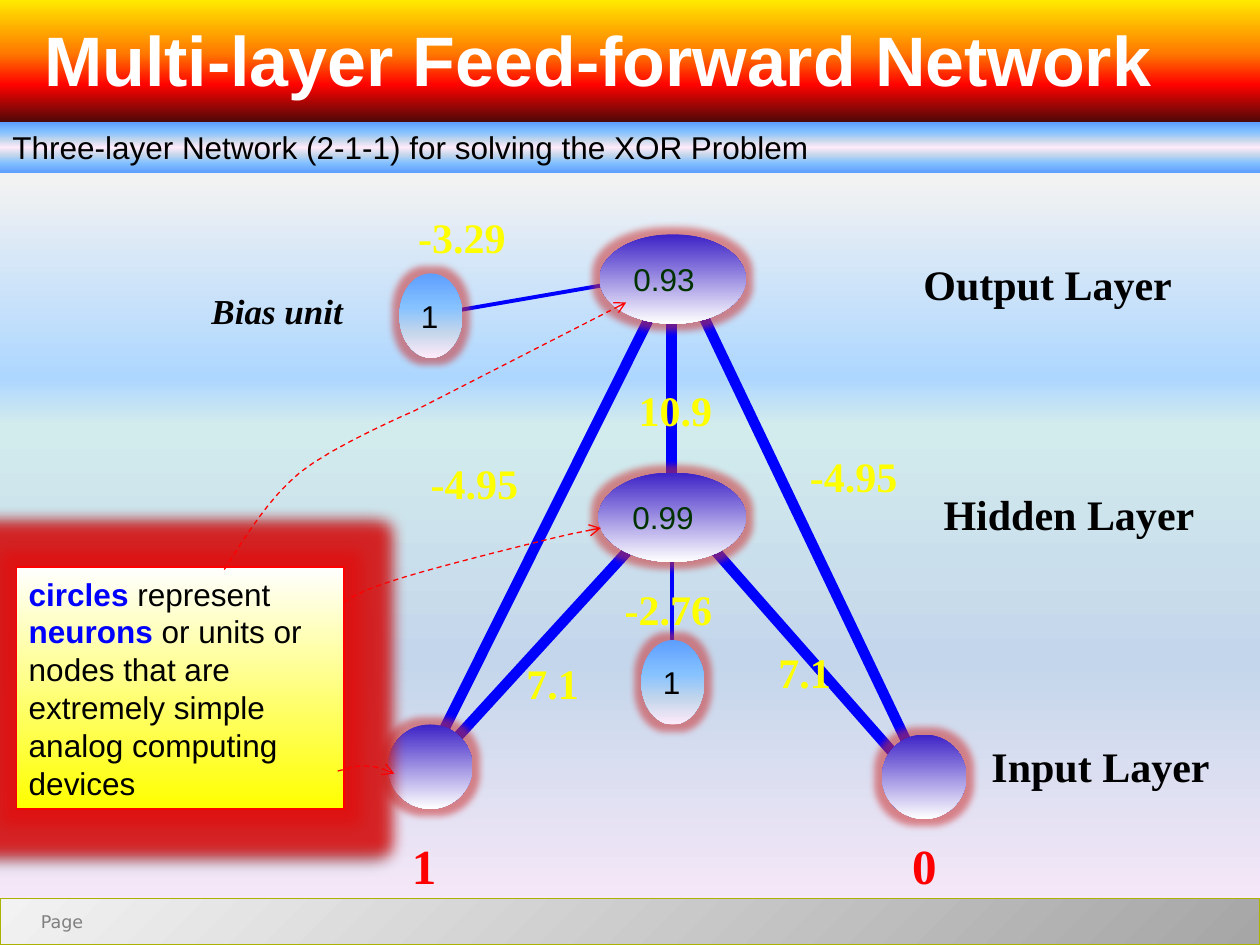
import pptx
import pptx.dml.color
import pptx.enum.dml
import pptx.enum.shapes
import pptx.enum.text
import pptx.oxml
import pptx.oxml.ns
import pptx.util
from pptx.util import Inches

RGBColor = pptx.dml.color.RGBColor
Shapes = pptx.enum.shapes.MSO_SHAPE
Anchor = pptx.enum.text.MSO_ANCHOR
Align = pptx.enum.text.PP_ALIGN
qn = pptx.oxml.ns.qn

BLACK = RGBColor(0x00, 0x00, 0x00)
WHITE = RGBColor(0xFF, 0xFF, 0xFF)
RED = RGBColor(0xFF, 0x00, 0x00)
BLUE = RGBColor(0x00, 0x00, 0xFF)
YELLOW = RGBColor(0xFF, 0xFF, 0x00)
GREEN = RGBColor(0x00, 0x33, 0x00)
GRAY = RGBColor(0x80, 0x80, 0x80)
OLIVE = RGBColor(0xAB, 0xB2, 0x02)
INDIGO = RGBColor(0x3D, 0x22, 0xC6)
SKY = RGBColor(0x5E, 0x9E, 0xFF)
LIGHT_SKY = RGBColor(0x85, 0xC2, 0xFF)
MIST = RGBColor(0xC4, 0xD6, 0xEB)
PINK = RGBColor(0xFF, 0xEB, 0xFA)
SILVER = RGBColor(0xF2, 0xF2, 0xF2)
STEEL = RGBColor(0xA6, 0xA6, 0xA6)
NEURON_GLOW = RGBColor(0xCC, 0x33, 0x33)
NOTE_GLOW = RGBColor(0xE0, 0x10, 0x10)

BACKDROP = [(0, RGBColor(0xAD, 0xCE, 0xFF)), (19, SILVER), (40, RGBColor(0xAE, 0xD7, 0xFF)),
            (45, RGBColor(0xD2, 0xEB, 0xED)), (70, MIST), (100, PINK)]
FIRE = [(0, RGBColor(0xFF, 0xF2, 0x00)), (45, RGBColor(0xFF, 0x7A, 0x00)),
        (70, RGBColor(0xFF, 0x03, 0x00)), (100, RGBColor(0x4D, 0x08, 0x08))]
BAND = [(0, SKY), (20, LIGHT_SKY), (35, MIST), (50, PINK), (65, MIST), (80, LIGHT_SKY), (100, SKY)]
NEURON = [(0, INDIGO), (100, WHITE)]
BIAS = [(0, SKY), (40, LIGHT_SKY), (70, MIST), (100, PINK)]

SERIF = "Times New Roman"
SANS = "Arial"


def add_xml(parent, markup):
    opening, rest = markup.split(" ", 1)
    parent.append(pptx.oxml.parse_xml(f"{opening} {pptx.oxml.ns.nsdecls('a')} {rest}"))


def set_gradient(element, fill, stops, angle=90):
    fill.gradient()
    fill.gradient_angle = 360 - angle
    stop_list = next(element.iter(qn("a:gsLst")))
    for stop in list(stop_list):
        stop_list.remove(stop)
    for position, color in stops:
        add_xml(stop_list, f'<a:gs pos="{position * 1000}"><a:srgbClr val="{color}"/></a:gs>')


def add_glow(shape, color, radius, alpha):
    effects = next(shape.element.iter(qn("a:effectLst")))
    add_xml(effects, f'<a:glow rad="{pptx.util.Pt(radius)}"><a:srgbClr val="{color}">'
                     f'<a:alpha val="{alpha * 1000}"/></a:srgbClr></a:glow>')


def add_span(para, text, size=18, font=SANS, color=BLACK, bold=False, italic=False):
    span = para.add_run()
    span.text = text
    span.font.size = pptx.util.Pt(size)
    span.font.name = font
    span.font.color.rgb = color
    span.font.bold = bold
    span.font.italic = italic


def write_text(shape, text, align=Align.LEFT, anchor=Anchor.TOP, wrap=True, inset=None, **style):
    frame = shape.text_frame
    frame.word_wrap = wrap
    frame.vertical_anchor = anchor
    if inset is not None:
        frame.margin_left, frame.margin_top = Inches(inset[0]), Inches(inset[1])
        frame.margin_right = frame.margin_bottom = 0
    para = frame.paragraphs[0]
    para.alignment = align
    add_span(para, text, **style)
    return para


def add_label(page, text, left, top, width, height=0.5, **style):
    box = page.shapes.add_textbox(Inches(left), Inches(top), Inches(width), Inches(height))
    return write_text(box, text, **style)


def add_block(page, kind, left, top, width, height, stops, angle=90, line=None):
    block = page.shapes.add_shape(kind, Inches(left), Inches(top), Inches(width), Inches(height))
    block.shadow.inherit = False
    set_gradient(block.element, block.fill, stops, angle)
    if line is None:
        block.line.fill.background()
    else:
        block.line.color.rgb = line
        block.line.width = pptx.util.Pt(0.75)
    return block


def add_unit(page, left, top, width, height, stops, text=None, color=BLACK):
    unit = add_block(page, Shapes.OVAL, left, top, width, height, stops)
    add_glow(unit, NEURON_GLOW, 8, 55)
    if text:
        write_text(unit, text, anchor=Anchor.MIDDLE, color=color)


def add_link(page, start, end, width):
    points = [Inches(value) for value in start + end]
    link = page.shapes.add_connector(pptx.enum.shapes.MSO_CONNECTOR.STRAIGHT, *points)
    link.line.color.rgb = BLUE
    link.line.width = pptx.util.Pt(width)
    add_xml(link.element.spPr, "<a:effectLst />")


def curve_points(start, first, second, end, steps=8):
    for step in range(1, steps + 1):
        t = step / steps
        weights = ((1 - t) ** 3, 3 * t * (1 - t) ** 2, 3 * t ** 2 * (1 - t), t ** 3)
        yield tuple(sum(w * p[axis] for w, p in zip(weights, (start, first, second, end)))
                    for axis in (0, 1))


def add_pointer(page, start, curves, tip=None):
    points = [start]
    for curve in curves:
        points.extend(curve_points(points[-1], *curve))
    if tip:
        points.append(tip)
    corners = [(Inches(x), Inches(y)) for x, y in points]
    builder = page.shapes.build_freeform(*corners[0])
    builder.add_line_segments(corners[1:], close=False)
    pointer = builder.convert_to_shape()
    pointer.shadow.inherit = False
    pointer.fill.background()
    pointer.line.color.rgb = RED
    pointer.line.width = pptx.util.Pt(0.75)
    pointer.line.dash_style = pptx.enum.dml.MSO_LINE.DASH
    add_xml(next(pointer.element.iter(qn("a:ln"))), '<a:tailEnd type="arrow"/>')


def add_note(page):
    note = add_block(page, Shapes.RECTANGLE, 0.13, 4.5, 2.6, 1.92, [(0, WHITE), (100, YELLOW)], line=RED)
    add_glow(note, NOTE_GLOW, 18, 85)
    effects = next(note.element.iter(qn("a:effectLst")))
    add_xml(effects, '<a:outerShdw blurRad="50800" dist="38100" dir="8100000">'
                     '<a:srgbClr val="000000"><a:alpha val="40000"/></a:srgbClr></a:outerShdw>')
    para = write_text(note, "circles ", anchor=Anchor.MIDDLE, color=BLUE, bold=True)
    add_span(para, "represent ")
    add_span(para, "neurons ", color=BLUE, bold=True)
    add_span(para, "or units or nodes that are extremely simple analog computing devices")


def add_frame(page):
    set_gradient(page.element, page.background.fill, BACKDROP)
    add_block(page, Shapes.RECTANGLE, 0, 7.13, 10, 0.37, [(0, SILVER), (100, STEEL)], 45, OLIVE)
    add_label(page, "Page", 0.27, 7.23, 0.39, 0.17, align=Align.RIGHT, inset=(0, 0),
              wrap=False, size=10, font="DejaVu Sans", color=GRAY)
    band = add_block(page, Shapes.RECTANGLE, 0, 0.97, 10, 0.4, BAND)
    write_text(band, "Three-layer Network (2-1-1) for solving the XOR Problem")
    title = page.shapes.title
    title.left, title.top, title.width, title.height = map(Inches, (0, -0.03, 10, 1))
    set_gradient(title.element, title.fill, FIRE)
    write_text(title, "Multi-layer Feed-forward Network", inset=(0.35, 0.16),
               size=40, color=WHITE, bold=True)
    title.text_frame.auto_size = pptx.enum.text.MSO_AUTO_SIZE.NONE


def main():
    deck = pptx.Presentation()
    deck.slide_width, deck.slide_height = Inches(10), Inches(7.5)
    page = deck.slides.add_slide(deck.slide_layouts[5])
    add_frame(page)

    for start, end, width in [
            ((7.33, 6.17), (5.42, 2.17), 6), ((3.42, 6), (5.33, 2.17), 6),
            ((5.33, 4.08), (5.33, 2.25), 6), ((3.42, 6.08), (5.25, 4.08), 6),
            ((7.33, 6.25), (5.42, 4.08), 6), ((3.42, 2.5), (5.33, 2.17), 2.25),
            ((5.33, 5.42), (5.33, 4.17), 2.25)]:
        add_link(page, start, end, width)

    inputs = add_label(page, "1\t0", 3.17, 6.58, 5.08, 0.57, size=28, font=SERIF, color=RED, bold=True)
    add_xml(inputs._p.get_or_add_pPr(),
            f'<a:tabLst ><a:tab pos="{Inches(3.97)}" algn="l"/></a:tabLst>')

    add_unit(page, 4.76, 1.86, 1.16, 0.71, NEURON, "0.93", GREEN)
    add_unit(page, 4.75, 3.75, 1.17, 0.71, NEURON, "0.99", GREEN)
    add_unit(page, 3.08, 5.75, 0.67, 0.67, NEURON)
    add_unit(page, 7, 5.83, 0.67, 0.67, NEURON)
    add_unit(page, 3.17, 2.17, 0.5, 0.67, BIAS, "1")
    add_unit(page, 5.09, 5.08, 0.5, 0.67, BIAS, "1")

    for weight, left, top, width in [
            ("-3.29", 3.22, 1.63, 0.9), ("-4.95", 6.33, 3.53, 0.9), ("-4.95", 3.32, 3.58, 0.9),
            ("7.1", 4.08, 5.17, 0.62), ("-2.76", 4.86, 4.58, 0.9), ("10.9", 4.97, 3, 0.78),
            ("7.1", 6.08, 5.08, 0.62)]:
        add_label(page, weight, left, top, width, wrap=False, size=24, font=SERIF, color=YELLOW, bold=True)
    for layer, left, top, width in [("Output Layer", 7.23, 2, 2.19), ("Hidden Layer", 7.39, 3.83, 2.21),
                                    ("Input Layer", 7.77, 5.83, 1.95)]:
        add_label(page, layer, left, top, width, wrap=False, size=24, font=SERIF, bold=True)
    add_label(page, "Bias unit", 1.58, 2.25, 1.49, 0.43, size=20, font=SERIF, bold=True, italic=True)

    add_note(page)
    add_pointer(page, (2.68, 6.12), [((2.76, 6.1), (2.84, 6.07), (2.91, 6.08)),
                                     ((2.99, 6.08), (3.06, 6.11), (3.13, 6.14))])
    add_pointer(page, (2.73, 4.78), [((2.82, 4.72), (2.91, 4.67), (3.21, 4.58)),
                                     ((3.5, 4.49), (4.26, 4.3), (4.52, 4.24))], tip=(4.77, 4.19))
    add_pointer(page, (1.78, 4.52), [((1.96, 4.24), (2.13, 3.96), (2.38, 3.75)),
                                     ((2.64, 3.54), (3.29, 3.26), (3.29, 3.26))], tip=(4.97, 2.4))
    deck.save("out.pptx")


if __name__ == "__main__":
    main()
